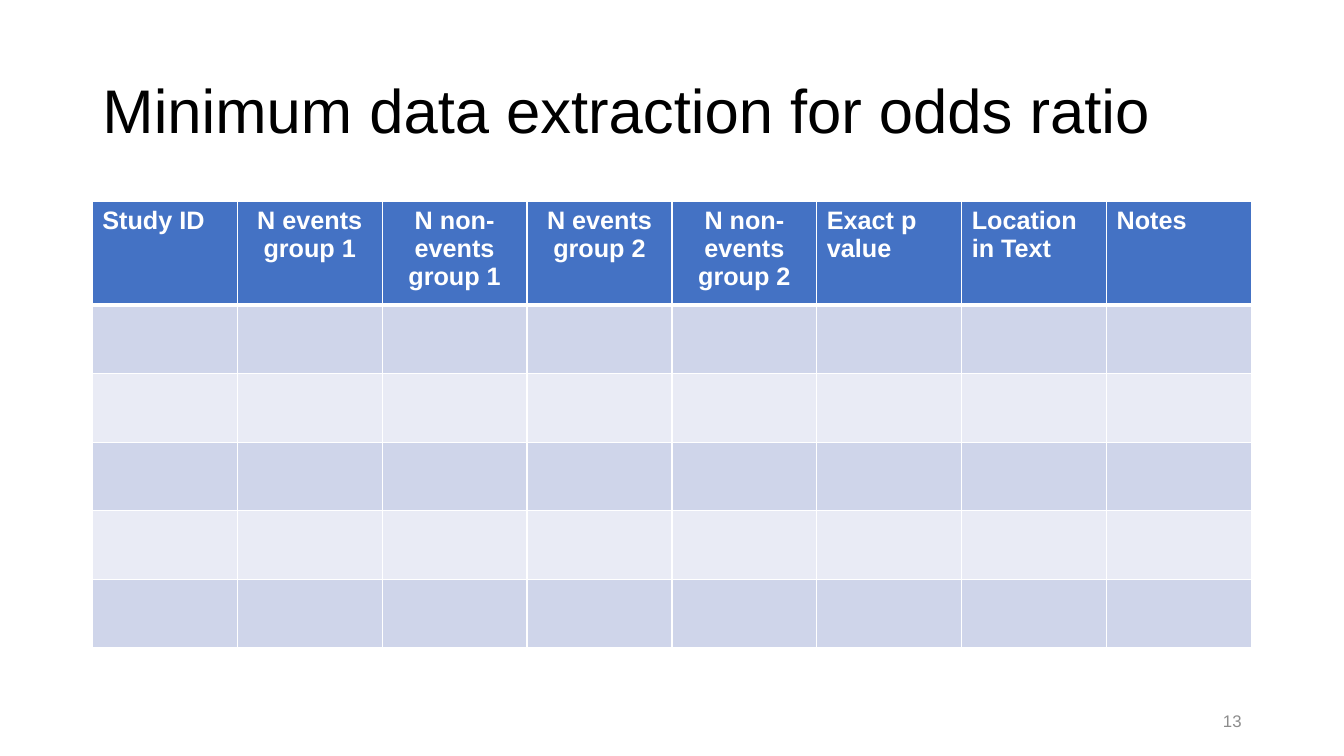
from dataclasses import dataclass

from lxml import etree
from pptx import Presentation
from pptx.dml.color import RGBColor
from pptx.enum.text import MSO_ANCHOR, MSO_AUTO_SIZE, PP_ALIGN
from pptx.oxml.ns import qn
from pptx.util import Pt

LEFT, CENTER, RIGHT = PP_ALIGN.LEFT, PP_ALIGN.CENTER, PP_ALIGN.RIGHT
MIDDLE = MSO_ANCHOR.MIDDLE
NO_FIT = MSO_AUTO_SIZE.NONE

TITLE = "Minimum data extraction for odds ratio"
HEADS = [
    ("Study ID", LEFT),
    ("N events group 1", CENTER),
    ("N non-events group 1", CENTER),
    ("N events group 2", CENTER),
    ("N non-events group 2", CENTER),
    ("Exact p value", LEFT),
    ("Location in Text", LEFT),
    ("Notes", LEFT),
]
BLANKS = 5
NUMBER = "13"


@dataclass(frozen=True)
class Theme:
    font: str = "Arial"
    ink: str = "000000"
    white: str = "FFFFFF"
    head: str = "4472C4"
    bands: tuple = ("CFD5EA", "E9EBF5")
    gray: str = "8C8C8C"
    title: int = 44
    label: int = 18
    small: int = 12
    thin: int = 1
    thick: int = 3


THEME = Theme()
WIDE, HIGH = 960, 540
EDGE = 66
SPAN = WIDE - 2 * EDGE
TABLE_TOP = 144
HEAD_HIGH, ROW_HIGH = 74, 49


def write(frame, text, size, color, align=LEFT, bold=False):
    para = frame.paragraphs[0]
    para.alignment = align
    run = para.add_run()
    run.text = text
    font = run.font
    font.name, font.size, font.bold = THEME.font, Pt(size), bold
    font.color.rgb = RGBColor.from_string(color)
    return para


def place(shape, left, top, width, height):
    shape.left, shape.top = Pt(left), Pt(top)
    shape.width, shape.height = Pt(width), Pt(height)


def rule(cell, top, bottom):
    """Draw the four white borders; top and bottom are widths in points."""
    props = cell._tc.get_or_add_tcPr()
    sides = {"L": THEME.thin, "R": THEME.thin, "T": top, "B": bottom}
    for side, width in sides.items():
        line = etree.SubElement(props, qn(f"a:ln{side}"), w=str(Pt(width)))
        fill = etree.SubElement(line, qn("a:solidFill"))
        etree.SubElement(fill, qn("a:srgbClr"), val=THEME.white)


def paint(cell, color):
    cell.fill.solid()
    cell.fill.fore_color.rgb = RGBColor.from_string(color)


def add_title(slide):
    title = slide.shapes.title
    place(title, EDGE, 28.75, SPAN, 104.4)
    frame = title.text_frame
    frame.word_wrap, frame.auto_size = True, NO_FIT
    frame.vertical_anchor = MIDDLE
    para = write(frame, TITLE, THEME.title, THEME.ink)
    para.line_spacing = 0.9


def add_grid(slide):
    high = HEAD_HIGH + BLANKS * ROW_HIGH
    grid = slide.shapes.add_table(
        BLANKS + 1, len(HEADS), Pt(EDGE), Pt(TABLE_TOP), Pt(SPAN), Pt(high)
    ).table
    for col in grid.columns:
        col.width = Pt(SPAN / len(HEADS))
    for i, row in enumerate(grid.rows):
        row.height = Pt(ROW_HIGH if i else HEAD_HIGH)
        color = THEME.bands[(i - 1) % 2] if i else THEME.head
        top = THEME.thick if i == 1 else THEME.thin
        bottom = THEME.thin if i else THEME.thick
        for cell in row.cells:
            rule(cell, top, bottom)
            paint(cell, color)
    for cell, (text, align) in zip(grid.rows[0].cells, HEADS):
        write(cell.text_frame, text, THEME.label, THEME.white, align, True)


def add_number(slide):
    width = 216
    box = slide.shapes.add_textbox(
        Pt(WIDE - EDGE - width), Pt(500.5), Pt(width), Pt(28.75)
    )
    frame = box.text_frame
    frame.word_wrap, frame.vertical_anchor = True, MIDDLE
    write(frame, NUMBER, THEME.small, THEME.gray, RIGHT)


def main():
    deck = Presentation()
    deck.slide_width, deck.slide_height = Pt(WIDE), Pt(HIGH)
    slide = deck.slides.add_slide(deck.slide_layouts[5])
    add_title(slide)
    add_grid(slide)
    add_number(slide)
    deck.save("out.pptx")


if __name__ == "__main__":
    main()
